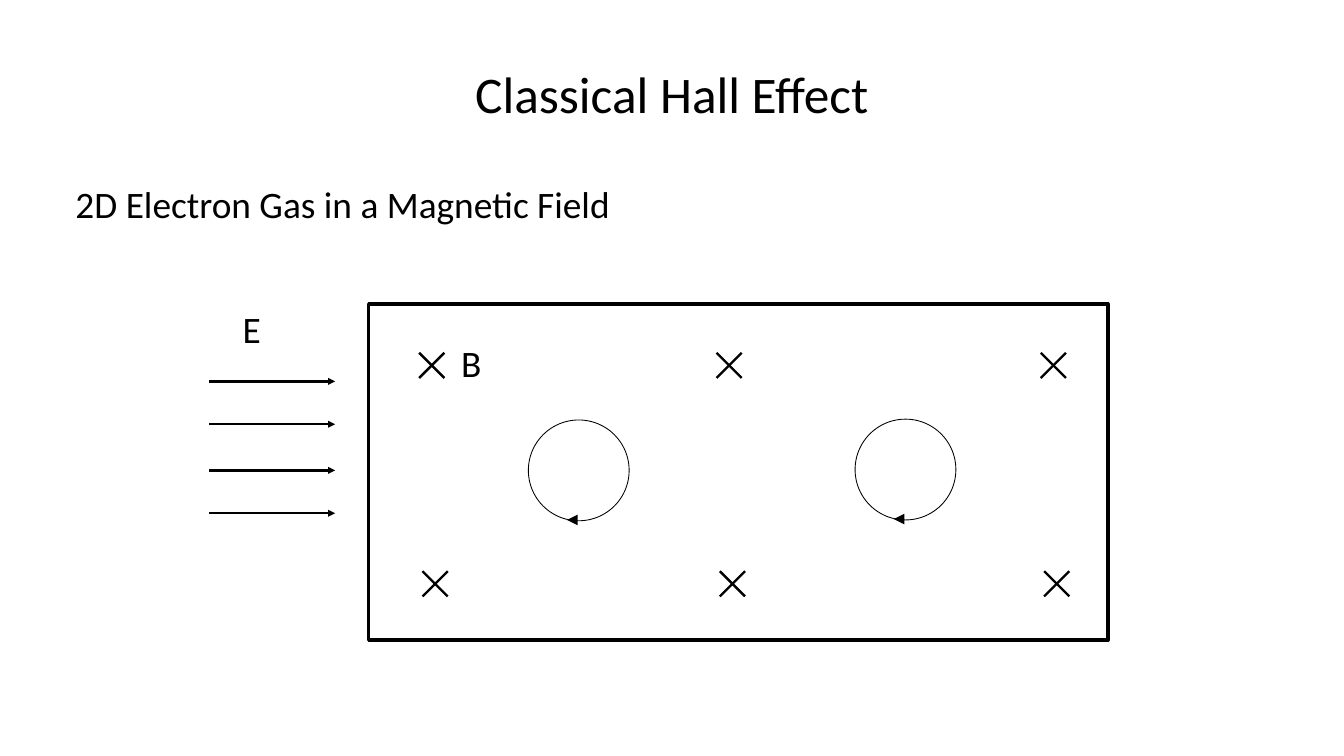
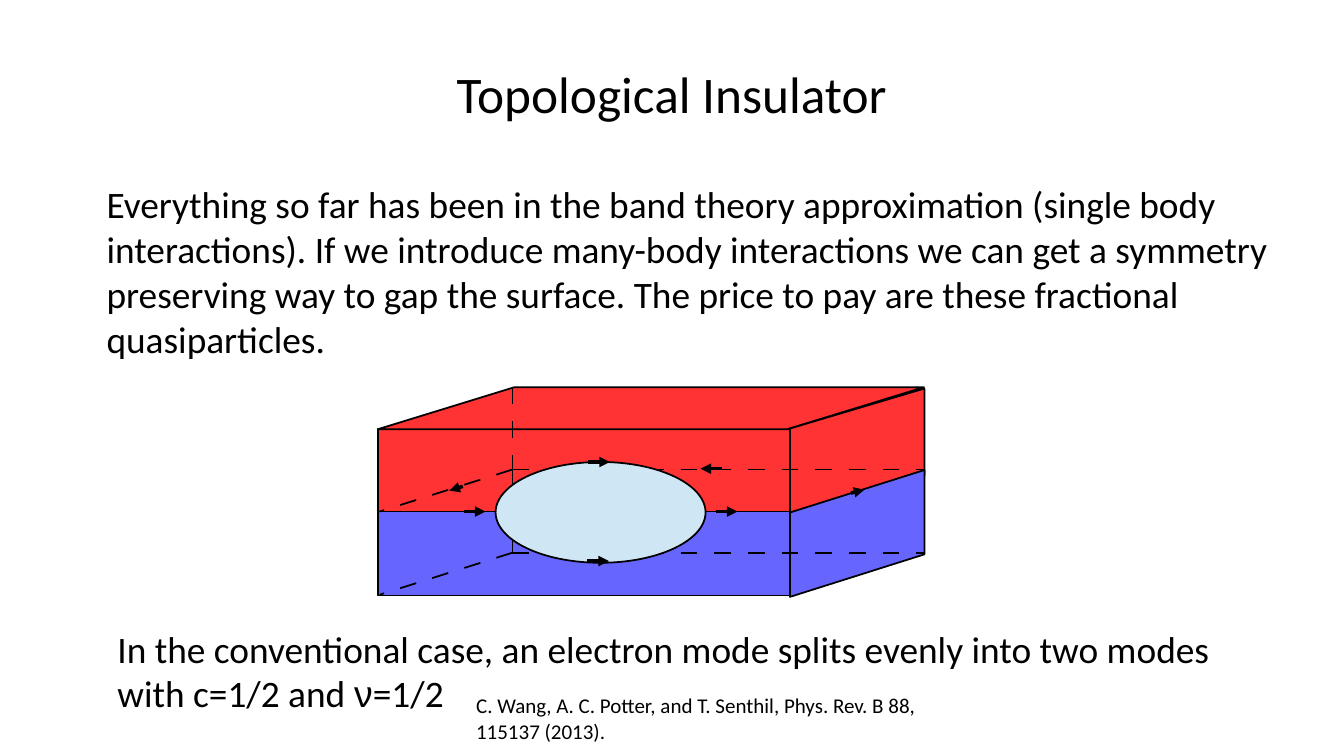
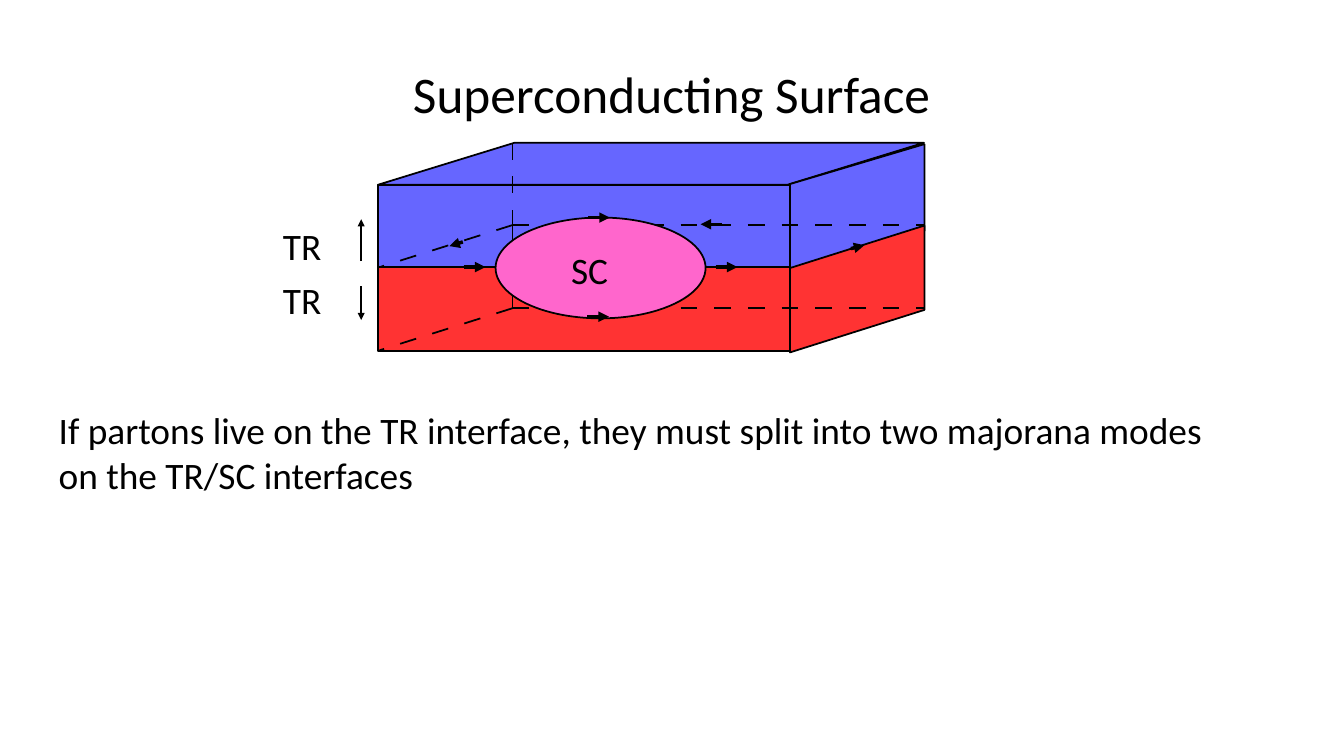
from lxml.etree import SubElement
from pptx import Presentation
from pptx.dml.color import RGBColor
from pptx.enum.shapes import MSO_CONNECTOR, MSO_SHAPE
from pptx.enum.text import MSO_ANCHOR, PP_ALIGN
from pptx.oxml.ns import qn
from pptx.util import Inches, Pt

COLORS = {"ink": "000000", "paper": "FFFFFF", "red": "FF3333", "blue": "6666FF",
          "ice": "CFE7F5", "pink": "FF66CC"}
FONT = "Calibri"
SLIDE = (16, 9)
TITLE_AREA = (0.8, 0.36, 14.4, 1.5)
HAIR, EDGE, BOLD = 0, 1.5, 3
DASH = "960000"

CLASSICAL = {
    "title": "Classical Hall Effect",
    "texts": [
        ((0.8, 2.11, 14.4, 6.57), ["2D Electron Gas in a Magnetic Field"], 32),
        ((5.39, 4, 1.8, 0.63), ["B"], 32),
        ((2.79, 3.6, 1.8, 0.63), ["E"], 32),
    ],
}
INSULATOR = {
    "title": "Topological Insulator",
    "block": (4.61, "red", "blue", "ice"),
    "texts": [
        ((1.17, 2.11, 14.03, 6.47), [
            "Everything so far has been in the band theory approximation (single body "
            "interactions). If we introduce many-body interactions we can get a symmetry "
            "preserving way to gap the surface. The price to pay are these fractional "
            "quasiparticles."], 32),
        ((1.3, 7.4, 13.9, 1.17), [
            "In the conventional case, an electron mode splits evenly into two modes "
            "with c=1/2 and ν=1/2"], 32),
        ((5.57, 8.2, 5.53, 0.7), [
            "C. Wang, A. C. Potter, and T. Senthil, Phys. Rev. B 88,",
            "115137 (2013)."], 18),
    ],
}
SURFACE = {
    "title": "Superconducting Surface",
    "block": (1.7, "blue", "red", "pink"),
    "texts": [
        ((3.27, 2.61, 2.23, 2.24), ["TR", "TR"], 32, 8),
        ((6.7, 2.89, 3.2, 0.63), ["SC"], 32),
        ((0.6, 4.8, 14.2, 1.17), [
            "If partons live on the TR interface, they must split into two majorana "
            "modes on the TR/SC interfaces"], 32),
    ],
}

CROSS = 0.3
CROSS_COLUMNS = (4.99, 8.53, 12.39)
CROSS_ROWS = ((4.2, 0), (6.8, 0.04))
ORBITS = ((6.29, 5), (10.18, 4.99))
FIELD_ROWS = (4.54, 5.05, 5.6, 6.11)

HIDDEN_EDGES = [
    (6.1, 0.98, 4.52, 1.48), (6.1, 0, 6.1, 0.98), (6.1, 0.98, 11, 0.98),
    (6.1, 1.97, 11, 1.97), (6.1, 0.98, 6.1, 1.97), (6.1, 1.97, 4.52, 2.47),
]
BACK_ARROWS = [(8.6, 0.97, 8.34, 0.97), (10.13, 1.26, 10.29, 1.22), (5.51, 1.18, 5.35, 1.23)]
FRONT_ARROWS = [(x, y, x + 0.26, y)
                for x, y in ((5.52, 1.48), (7, 0.89), (6.99, 2.07), (8.52, 1.48))]


def rgb(name):
    return RGBColor.from_string(COLORS[name])


def add_text(page, area, lines, size, gap=0):
    box = page.shapes.add_textbox(*map(Inches, area))
    frame = box.text_frame
    frame.word_wrap = True
    frame.text = "\n".join(lines)
    for number, para in enumerate(frame.paragraphs):
        if gap and number:
            para.space_before = Pt(gap)
        before, symbol, after = para.text.partition("ν")
        para.text = before
        if symbol:
            para.add_run().text = symbol
            para.add_run().text = after
        for span in para.runs:
            span.font.name = "Arial" if span.text == "ν" else FONT
            span.font.size = Pt(size)
            span.font.color.rgb = rgb("ink")
    return frame


def add_figure(page, kind, area, fill, width):
    shape = page.shapes.add_shape(kind, *map(Inches, area))
    shape.shadow.inherit = False
    shape.fill.solid()
    shape.fill.fore_color.rgb = rgb(fill)
    shape.line.color.rgb = rgb("ink")
    shape.line.width = Pt(width)
    return shape


def add_line(page, ends, width, dashed=False, arrow=False):
    line = page.shapes.add_connector(MSO_CONNECTOR.STRAIGHT, *map(Inches, ends))
    line.line.color.rgb = rgb("ink")
    line.line.width = Pt(width)
    properties = line._element.spPr
    stroke = properties.find(qn("a:ln"))
    if dashed:
        SubElement(SubElement(stroke, qn("a:custDash")), qn("a:ds"), d=DASH, sp=DASH)
    if arrow:
        SubElement(stroke, qn("a:tailEnd"), type="triangle")
    SubElement(properties, qn("a:effectLst"))


def add_slanted(page, area, fill, slant, upright=False):
    shape = add_figure(page, MSO_SHAPE.PARALLELOGRAM, area, fill, EDGE)
    shape.adjustments[0] = slant
    if upright:
        shape.rotation = 90
        shape._element.spPr.find(qn("a:xfrm")).set("flipV", "1")


def add_block(page, top, upper, lower, lens):
    def lowered(ends):
        x1, y1, x2, y2 = ends
        return x1, top + y1, x2, top + y2

    add_figure(page, MSO_SHAPE.RECTANGLE, (4.5, top + 0.5, 4.9, 1), upper, EDGE)
    add_slanted(page, (4.5, top, 6.5, 0.5), upper, 3.25)
    add_slanted(page, (9.45, top - 0.03, 1.51, 1.6), upper, 0.315, upright=True)
    add_figure(page, MSO_SHAPE.RECTANGLE, (4.5, top + 1.48, 4.9, 1), lower, EDGE)
    add_slanted(page, (9.45, top + 0.94, 1.51, 1.6), lower, 0.335, upright=True)
    for edge in HIDDEN_EDGES:
        add_line(page, lowered(edge), EDGE, dashed=True)
    for arrow in BACK_ARROWS:
        add_line(page, lowered(arrow), BOLD, arrow=True)
    add_figure(page, MSO_SHAPE.OVAL, (5.9, top + 0.89, 2.5, 1.2), lens, EDGE)
    for arrow in FRONT_ARROWS:
        add_line(page, lowered(arrow), BOLD, arrow=True)


def add_hall_bar(page):
    add_figure(page, MSO_SHAPE.RECTANGLE, (4.39, 3.62, 8.8, 4), "paper", BOLD)
    for top, shift in CROSS_ROWS:
        for column in CROSS_COLUMNS:
            left, bottom = column + shift, top + CROSS
            add_line(page, (left + CROSS, top, left, bottom), HAIR)
            add_line(page, (left + CROSS, bottom, left, top), HAIR)
    for left, top in ORBITS:
        add_figure(page, MSO_SHAPE.OVAL, (left, top, 1.2, 1.2), "paper", HAIR)
        add_line(page, (left + 0.56, top + 1.19, left + 0.46, top + 1.19), BOLD, arrow=True)
    for row in FIELD_ROWS:
        add_line(page, (2.49, row, 3.99, row), HAIR, arrow=True)


def add_page(deck, content):
    page = deck.slides.add_slide(deck.slide_layouts[6])
    title = add_text(page, TITLE_AREA, [content["title"]], 44)
    title.vertical_anchor = MSO_ANCHOR.MIDDLE
    title.paragraphs[0].alignment = PP_ALIGN.CENTER
    if "block" in content:
        add_block(page, *content["block"])
    else:
        add_hall_bar(page)
    for entry in content["texts"]:
        add_text(page, *entry)
    return page


def main():
    deck = Presentation()
    deck.slide_width, deck.slide_height = map(Inches, SLIDE)
    add_page(deck, CLASSICAL)
    add_page(deck, INSULATOR)
    surface = add_page(deck, SURFACE)
    for start, end in ((3.11, 2.61), (3.41, 3.81)):
        add_line(surface, (4.3, start, 4.3, end), HAIR, arrow=True)
    deck.save("out.pptx")


if __name__ == "__main__":
    main()
